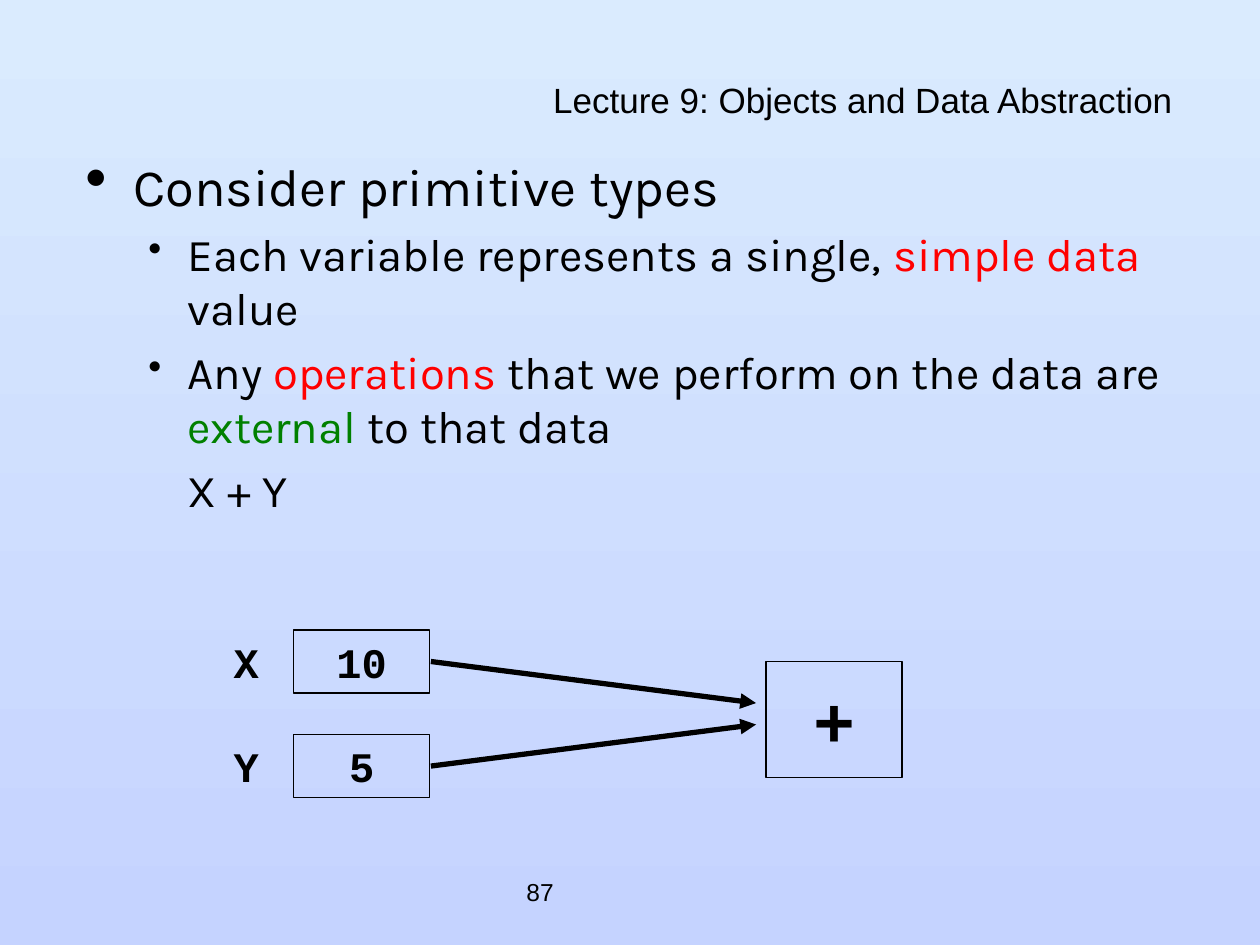
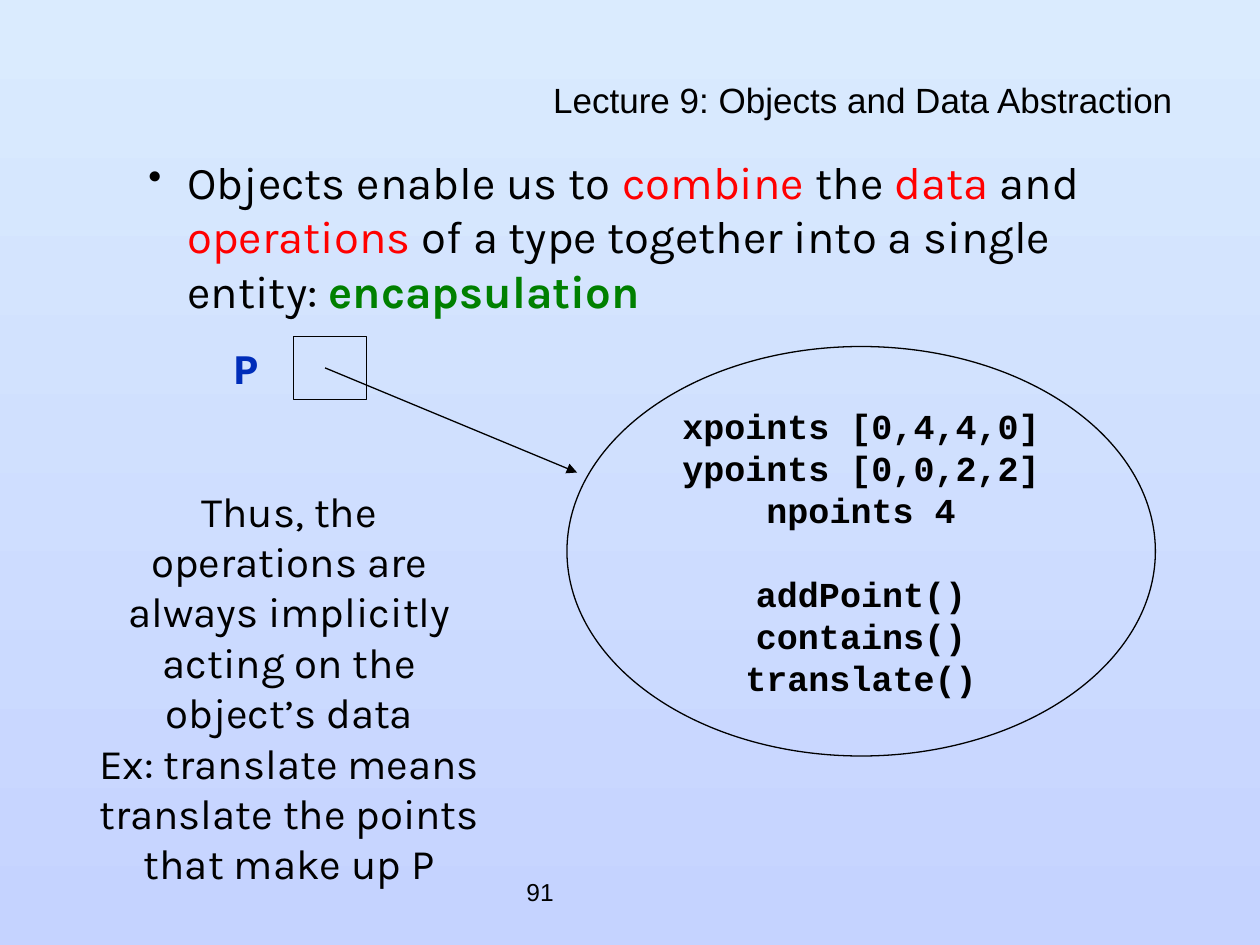
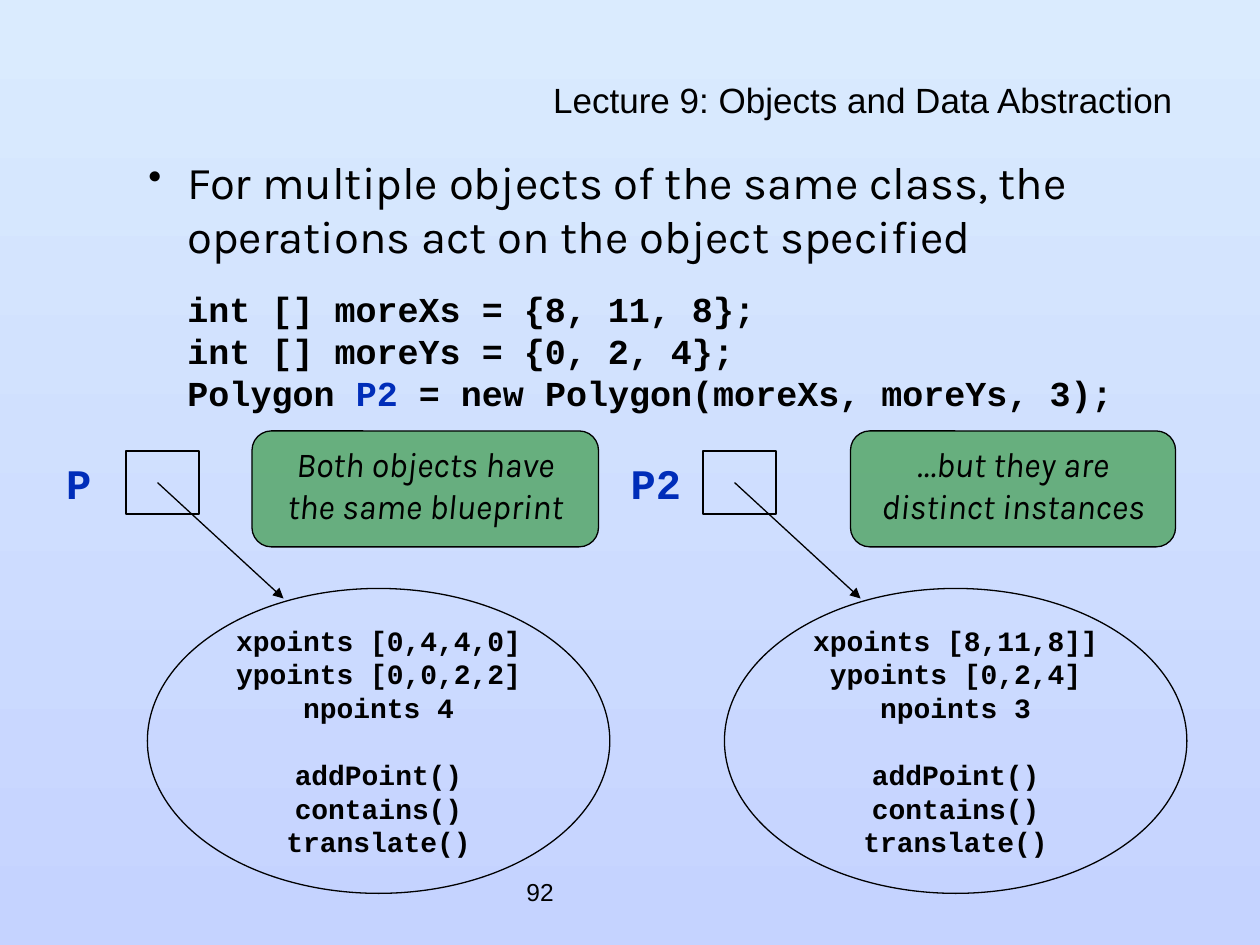
from lxml.etree import SubElement
from pptx import Presentation
from pptx.dml.color import RGBColor
from pptx.enum.shapes import MSO_CONNECTOR as Link, MSO_SHAPE as Kind
from pptx.enum.text import MSO_ANCHOR as Anchor, MSO_AUTO_SIZE as Fit, PP_ALIGN as Align
from pptx.oxml.ns import qn
from pptx.util import Inches, Pt

BLACK, RED, GREEN, BLUE = "000000", "FF0000", "008000", "002DB9"
SKY = ("DAEBFE", "C5D3FF")
SANS, CODE, PLAIN = "Karla", "Courier New", "Arial"
TITLE = "Lecture 9: Objects and Data Abstraction"
METHODS = ["addPoint()", "contains()", "translate()"]


def rgb(code):
    return RGBColor.from_string(code)


def box(*nums):
    return [Inches(n) for n in nums]


def say(par, text, size=26, font=SANS, color=BLACK, bold=False, italic=False):
    """Add text to a paragraph; a newline becomes a line break."""
    for i, line in enumerate(text.split("\n")):
        if i:
            par.add_line_break()
        run = par.add_run()
        run.text = line
        face = run.font
        face.size, face.name = Pt(size), font
        face.bold, face.italic = bold, italic
        face.color.rgb = rgb(color)


def lines(shape, texts, align=Align.CENTER, anchor=Anchor.MIDDLE, **style):
    """Fill a shape with one paragraph per text and return the paragraphs."""
    frame = shape.text_frame
    frame.word_wrap, frame.auto_size = True, Fit.NONE
    frame.vertical_anchor = anchor
    pars = []
    for text in texts:
        par = frame.add_paragraph() if pars else frame.paragraphs[0]
        par.alignment = align
        say(par, text, **style)
        pars.append(par)
    return pars


class Deck:
    def __init__(self):
        self.prs = Presentation()
        self.prs.slide_width, self.prs.slide_height = box(10, 7.5)
        fill = self.prs.slide_master.background.fill
        fill.gradient()
        fill.gradient_angle = 270
        for stop, color in zip(fill.gradient_stops, SKY):
            stop.color.rgb = rgb(color)

    def page(self, num):
        """Start a slide with its number, title and body frame."""
        self.slide = self.prs.slides.add_slide(self.prs.slide_layouts[5])
        self.text([str(num)], 4.08, 6.83, 2.08, 0.5, align=Align.LEFT,
                  size=14, font=PLAIN)
        title = self.slide.shapes.title
        title.left, title.top, title.width, title.height = box(0.58, 0.67, 8.83, 0.33)
        par, = lines(title, [TITLE], align=Align.RIGHT, size=20, font=PLAIN)
        par.line_spacing = 0.7
        body = self.slide.shapes.add_textbox(*box(0.58, 1.17, 8.83, 5.5))
        self.body = body.text_frame
        self.body.word_wrap = True

    def point(self, *parts, level=1, bullet=True, before=None, **style):
        """Add a body paragraph; a part is a text or (text, format)."""
        first = not self.body.paragraphs[0].runs
        par = self.body.paragraphs[0] if first else self.body.add_paragraph()
        size = 26 if level else 30
        par.level = level
        par.space_before = Pt(before or size * 0.2)
        left, hang, scale = (0.81, 0.31, 85) if level else (0.38, 0.38, 120)
        props = par._p.get_or_add_pPr()
        props.set("marL", str(Inches(left)))
        props.set("indent", str(-Inches(hang) if bullet else 0))
        if bullet:
            tint = SubElement(props, qn("a:buClr"))
            SubElement(tint, qn("a:srgbClr"), val=BLACK)
            SubElement(props, qn("a:buSzPct"), val=str(scale * 1000))
            SubElement(props, qn("a:buChar"), char="•")
        for part in parts:
            text, extra = (part, {}) if isinstance(part, str) else part
            say(par, text, **{"size": size, **style, **extra})

    def text(self, texts, *place, **style):
        return lines(self.slide.shapes.add_textbox(*box(*place)), texts, **style)

    def shape(self, kind, texts, *place, fill=None, **style):
        item = self.slide.shapes.add_shape(kind, *box(*place))
        item.shadow.inherit = False
        item.line.color.rgb, item.line.width = rgb(BLACK), Pt(0.75)
        if fill:
            item.fill.solid()
            item.fill.fore_color.rgb = rgb(fill)
            tint = item.fill._xPr.find(".//" + qn("a:srgbClr"))
            SubElement(tint, qn("a:alpha"), val="50000")
        else:
            item.fill.background()
        return lines(item, texts, **style)

    def arrow(self, *ends, width=0.75):
        item = self.slide.shapes.add_connector(Link.STRAIGHT, *box(*ends))
        item.line.color.rgb, item.line.width = rgb(BLACK), Pt(width)
        SubElement(item.line._get_or_add_ln(), qn("a:tailEnd"), type="triangle")
        SubElement(item._element.spPr, qn("a:effectLst"))

    def cell(self, name, value, left, top, width, color=BLACK):
        """Draw a named variable with its memory box."""
        style = dict(size=24, font=CODE, bold=True)
        self.text([name], left, top, 0.75, 0.5, color=color, **style)
        self.shape(Kind.RECTANGLE, [value] if value else [],
                   left + 0.75, top, width, 0.5, **style)

    def object(self, fields, *place, size):
        """Draw an object as an oval holding its data and methods."""
        pars = self.shape(Kind.OVAL, fields + METHODS, *place,
                          size=size, font=CODE, bold=True)
        pars[len(fields)].space_before = Pt(size * 1.2)

    def note(self, text, left, width):
        self.shape(Kind.ROUNDED_RECTANGLE, [text], left, 3.42, width, 0.92,
                   fill=GREEN, anchor=Anchor.TOP, size=20, italic=True)


def main():
    deck = Deck()
    red, green = dict(color=RED), dict(color=GREEN)
    square = ["xpoints [0,4,4,0]", "ypoints [0,0,2,2]", "npoints 4"]
    wedge = ["xpoints [8,11,8]]", "ypoints [0,2,4]", "npoints 3"]

    deck.page(87)
    deck.point("Consider primitive types", level=0)
    deck.point("Each variable represents a single, ", ("simple data", red), " value")
    deck.point("Any ", ("operations", red), " that we perform on the data are ",
               ("external", green), " to that data")
    deck.point("X + Y", bullet=False)
    for name, value, top, tip in (("X", "10", 5, 5.58), ("Y", "5", 5.83, 5.75)):
        deck.cell(name, value, 1.58, top, 1.08)
        deck.arrow(3.42, top + 0.25, 6, tip, width=3)
    deck.shape(Kind.RECTANGLE, ["+"], 6.08, 5.25, 1.08, 0.92,
               size=40, font=CODE, bold=True)

    deck.page(91)
    deck.point("Objects enable us to ", ("combine ", red), "the", (" data ", red),
               "and", (" operations", red),
               " of a type together into a single entity: ",
               ("encapsulation", dict(color=GREEN, bold=True)))
    deck.cell("P", "", 1.58, 2.67, 0.58, color=BLUE)
    deck.object(square, 4.5, 2.75, 4.67, 3.25, size=20)
    deck.arrow(2.58, 2.92, 4.58, 3.75)
    deck.text(["Thus, the operations are always implicitly acting on the object’s data",
               "Ex: translate means translate the points that make up P"],
              0.67, 4, 3.25, 2.9, size=24)

    deck.page(92)
    deck.point("For multiple objects of the same class, "
               "the operations act on the object specified")
    deck.point("int [] moreXs = {8, 11, 8};\nint [] moreYs = {0, 2, 4};\nPolygon ",
               ("P2", dict(color=BLUE)), " = new Polygon(moreXs, moreYs, 3);",
               bullet=False, before=14, size=20, font=CODE, bold=True)
    for name, fields, left in (("P", square, 0.25), ("P2", wedge, 4.83)):
        deck.cell(name, "", left, 3.58, 0.58, color=BLUE)
        deck.object(fields, left + 0.92, 4.67, 3.67, 2.42, size=16)
        deck.arrow(left + 1, 3.83, left + 2, 4.75)
    deck.note("Both objects have the same blueprint", 2, 2.75)
    deck.note("…but they are distinct instances", 6.75, 2.58)

    deck.prs.save("out.pptx")


if __name__ == "__main__":
    main()
